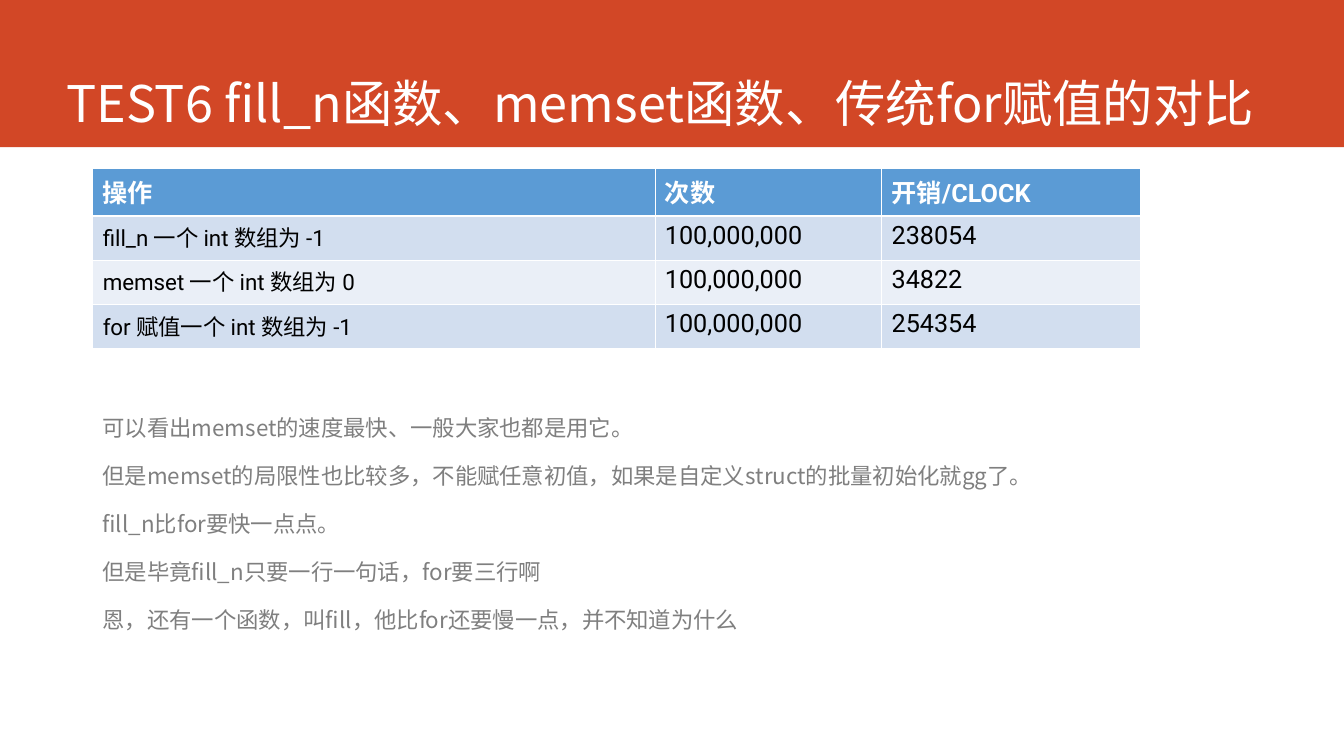
from dataclasses import dataclass

from lxml import etree
from pptx import Presentation
from pptx.dml.color import RGBColor
from pptx.enum.shapes import MSO_SHAPE
from pptx.enum.text import MSO_ANCHOR
from pptx.oxml.ns import qn
from pptx.util import Inches, Pt

RECTANGLE = MSO_SHAPE.RECTANGLE
TOP, BOTTOM = MSO_ANCHOR.TOP, MSO_ANCHOR.BOTTOM
CJK_FONT, TABLE_FONT = "Noto Sans CJK SC", "Roboto"
WHITE, BLACK, GRAY, ORANGE = "FFFFFF", "000000", "7F7F7F", "D24726"
HEADER_FILL, BAND_FILLS = "5B9BD5", ("D2DEEF", "EAEFF7")
THIN_BORDER, HEADER_BORDER = 0.45, 1.47


@dataclass(frozen=True)
class TextStyle:
    size: float
    color: str
    font: str = CJK_FONT
    bold: bool = False


@dataclass(frozen=True)
class TextBlock:
    box: tuple[float, float, float, float]
    lines: tuple[str, ...]
    style: TextStyle
    frame_format: dict
    paragraph_format: dict


TITLE = TextBlock(
    (0.56, 0, 12.77, 1.32),
    ("TEST6 fill_n函数、memset函数、传统for赋值的对比",),
    TextStyle(36, WHITE),
    {"word_wrap": True, "vertical_anchor": BOTTOM, "margin_bottom": 0},
    {},
)
REMARKS = TextBlock(
    (0.92, 4.1, 11.39, 2.99),
    (
        "可以看出memset的速度最快、一般大家也都是用它。",
        "但是memset的局限性也比较多，不能赋任意初值，如果是自定义struct的批量初始化就gg了。",
        "fill_n比for要快一点点。",
        "但是毕竟fill_n只要一行一句话，for要三行啊",
        "恩，还有一个函数，叫fill，他比for还要慢一点，并不知道为什么",
    ),
    TextStyle(16, GRAY),
    {"word_wrap": True, "vertical_anchor": TOP},
    {"space_before": Pt(6), "space_after": Pt(12), "line_spacing": 0.85},
)

TABLE_BOX = (0.92, 1.67, 10.4, 1.79)
COLUMN_WIDTHS = (5.58, 2.25, 2.57)
ROW_HEIGHTS = (0.47, 0.44, 0.44, 0.44)
TABLE_ROWS = (
    ("操作", "次数", "开销/CLOCK"),
    ("fill_n 一个 int 数组为 -1", "100,000,000", "238054"),
    ("memset 一个 int 数组为 0", "100,000,000", "34822"),
    ("for 赋值一个 int 数组为 -1", "100,000,000", "254354"),
)
HEADER_STYLE = TextStyle(18, WHITE, TABLE_FONT, True)
OPERATION_STYLE = TextStyle(16, BLACK, TABLE_FONT)
NUMBER_STYLE = TextStyle(18, BLACK, TABLE_FONT)


def rgb(color: str) -> RGBColor:
    return RGBColor.from_string(color)


def apply_format(target, values: dict) -> None:
    for name, value in values.items():
        setattr(target, name, value)


def add_text(paragraph, text: str, style: TextStyle) -> None:
    run = paragraph.add_run()
    run.text = text
    apply_format(run.font, {"size": Pt(style.size), "name": style.font, "bold": style.bold})
    run.font.color.rgb = rgb(style.color)
    # East Asian typeface for the Chinese characters
    properties = run.font._element
    etree.SubElement(properties, qn("a:ea"), typeface=CJK_FONT)


def add_banner(slide) -> None:
    banner = slide.shapes.add_shape(RECTANGLE, 0, 0, Inches(13.34), Inches(1.46))
    banner.shadow.inherit = False
    banner.fill.solid()
    banner.fill.fore_color.rgb = rgb(ORANGE)
    banner.line.fill.background()


def add_text_block(slide, block: TextBlock) -> None:
    frame = slide.shapes.add_textbox(*map(Inches, block.box)).text_frame
    apply_format(frame, block.frame_format)
    for index, line in enumerate(block.lines):
        paragraph = frame.add_paragraph() if index else frame.paragraphs[0]
        apply_format(paragraph, block.paragraph_format)
        add_text(paragraph, line, block.style)


def set_borders(cell, row: int) -> None:
    widths = {
        "L": THIN_BORDER,
        "R": THIN_BORDER,
        "T": HEADER_BORDER if row == 1 else THIN_BORDER,
        "B": HEADER_BORDER if row == 0 else THIN_BORDER,
    }
    properties = cell._tc.get_or_add_tcPr()
    for side, width in widths.items():
        border = etree.SubElement(properties, qn(f"a:ln{side}"), w=str(Pt(width)))
        fill = etree.SubElement(border, qn("a:solidFill"))
        etree.SubElement(fill, qn("a:srgbClr"), val=WHITE)


def cell_style(row: int, column: int) -> TextStyle:
    if row == 0:
        return HEADER_STYLE
    return OPERATION_STYLE if column == 0 else NUMBER_STYLE


def add_timing_table(slide) -> None:
    table = slide.shapes.add_table(
        len(TABLE_ROWS), len(COLUMN_WIDTHS), *map(Inches, TABLE_BOX)
    ).table
    for column, width in zip(table.columns, COLUMN_WIDTHS):
        column.width = Inches(width)
    for row, height in zip(table.rows, ROW_HEIGHTS):
        row.height = Inches(height)
    for row, texts in enumerate(TABLE_ROWS):
        fill_color = BAND_FILLS[(row - 1) % 2] if row else HEADER_FILL
        for column, text in enumerate(texts):
            cell = table.cell(row, column)
            set_borders(cell, row)
            cell.fill.solid()
            cell.fill.fore_color.rgb = rgb(fill_color)
            add_text(cell.text_frame.paragraphs[0], text, cell_style(row, column))


def main() -> None:
    presentation = Presentation()
    presentation.slide_width = Inches(13.34)
    presentation.slide_height = Inches(7.5)
    slide = presentation.slides.add_slide(presentation.slide_layouts[6])

    # Title on its banner
    add_banner(slide)
    add_text_block(slide, TITLE)
    # Remarks and measured times
    add_text_block(slide, REMARKS)
    add_timing_table(slide)

    presentation.save("out.pptx")


if __name__ == "__main__":
    main()
